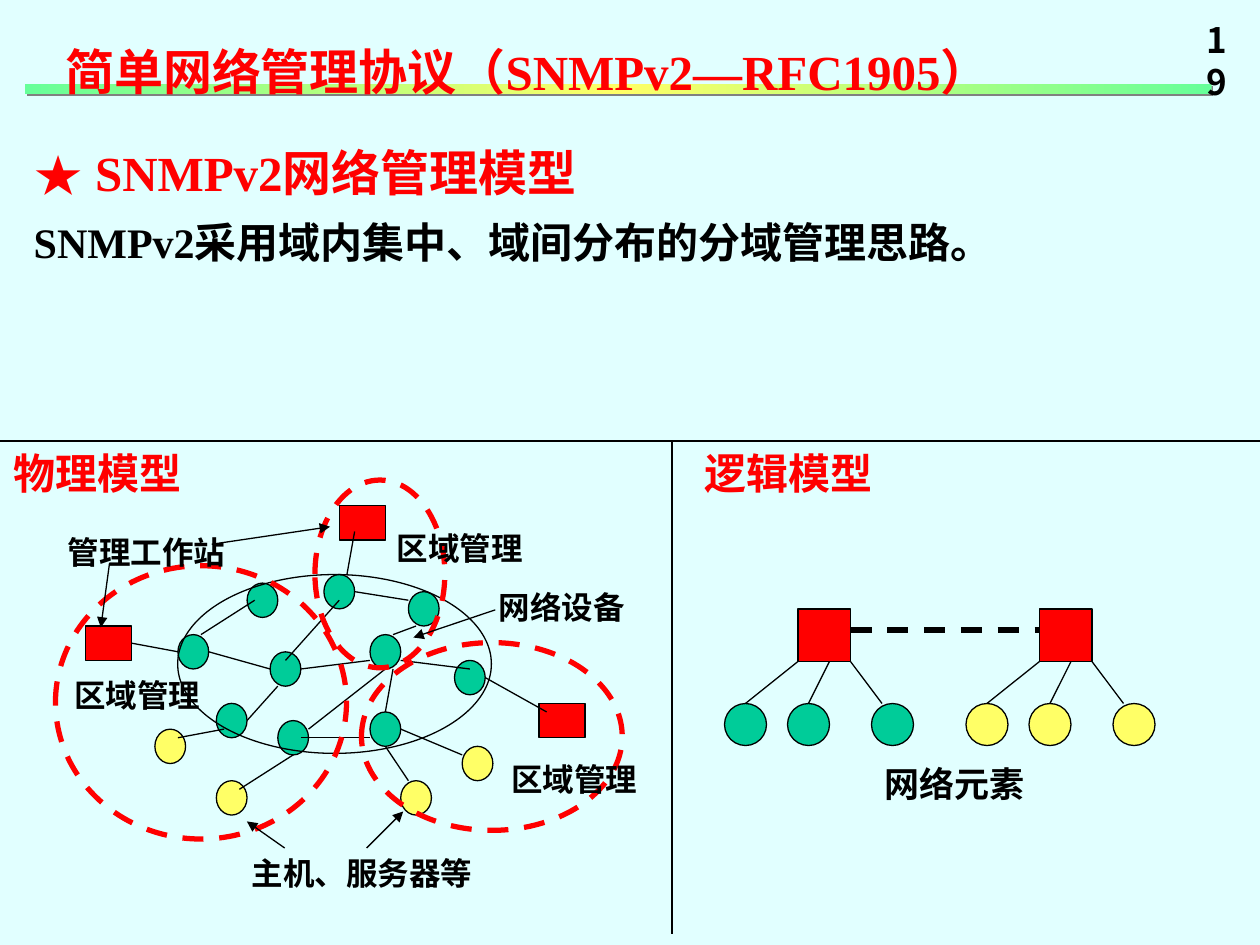
"""Build a slide on the SNMPv2 network management model."""
from copy import deepcopy

from lxml import etree
from pptx import Presentation
from pptx import util as u
from pptx.dml.color import RGBColor
from pptx.enum import dml, shapes, text
from pptx.oxml import ns

colour = RGBColor.from_string
RED, GREEN, YELLOW, BLACK = "FF0000", "00CC99", "FFFF66", "000000"
OVAL, RECT = shapes.MSO_SHAPE.OVAL, shapes.MSO_SHAPE.RECTANGLE
SERIF, SANS = "Times New Roman", "Noto Sans CJK SC"

deck = Presentation()
deck.slide_width, deck.slide_height = u.Pt(720), u.Pt(540)
page = deck.slides.add_slide(deck.slide_layouts[6])
page.background.fill.solid()
page.background.fill.fore_color.rgb = colour("E1FFFF")


def draw_shape(kind, left, top, width, height, fill=None, line=BLACK, weight=0.75):
    shape = page.shapes.add_shape(kind, u.Pt(left), u.Pt(top), u.Pt(width), u.Pt(height))
    shape.shadow.inherit = False
    if fill:
        shape.fill.solid()
        shape.fill.fore_color.rgb = colour(fill)
    else:
        shape.fill.background()
    shape.line.color.rgb = colour(line)
    shape.line.width = u.Pt(weight)
    return shape


def draw_line(x1, y1, x2, y2, weight=0.75, arrow=False):
    line = page.shapes.add_connector(
        shapes.MSO_CONNECTOR.STRAIGHT, u.Pt(x1), u.Pt(y1), u.Pt(x2), u.Pt(y2))
    line.line.color.rgb = colour(BLACK)
    line.line.width = u.Pt(weight)
    if arrow:
        outline = line.line._get_or_add_ln()
        etree.SubElement(outline, ns.qn("a:tailEnd"), type="triangle")
    etree.SubElement(line._element.spPr, ns.qn("a:effectLst"))
    return line


bar = draw_shape(RECT, 14.4, 48, 678, 6)
bar.line.fill.background()
bar.fill.gradient()
bar.fill.gradient_angle = 0
stop_list = bar._element.spPr.find(".//" + ns.qn("a:gsLst"))
stop_list.insert(1, deepcopy(stop_list[0]))
for stop, position, shade in zip(
        bar.fill.gradient_stops, (0, 0.5, 1), ("66FF99", YELLOW, "66FF99")):
    stop.position = position
    stop.color.rgb = colour(shade)
effects = bar._element.spPr.find(ns.qn("a:effectLst"))
shadow = etree.SubElement(effects, ns.qn("a:outerShdw"), dist="17780", dir="2700000")
etree.SubElement(shadow, ns.qn("a:srgbClr"), val="808080")

draw_line(384, 252, 384, 534)
draw_line(0, 252, 720, 252)

GRID_LEFT, GRID_TOP, STEP_X, STEP_Y = 49, 289, 4.39, 4.91
devices = [(12, 15), (17, 23), (24, 17), (42, 10), (48, 18),
           (31, 8), (21, 9), (37, 24), (25, 25), (37, 15)]
hosts = [(9, 26), (41, 32), (17, 32), (49, 28)]
stations = [(0, 14), (59, 23), (33, 0)]
for kind, columns, fill, cells in [
        (OVAL, 4, GREEN, devices), (OVAL, 4, YELLOW, hosts), (RECT, 6, RED, stations)]:
    for column, row in cells:
        draw_shape(kind, GRID_LEFT + column * STEP_X, GRID_TOP + row * STEP_Y,
                   columns * STEP_X, 4 * STEP_Y, fill)
draw_shape(OVAL, 101.5, 328.3, 179.3, 102.2)

links = [
    (16, 17, 24, 19), (21, 25, 25, 21), (15, 15, 22, 11), (29, 26, 39, 19),
    (28, 19, 37, 18), (41, 18, 50, 19), (40, 19, 39, 24), (28, 27, 37, 27),
    (33, 11, 26, 18), (35, 10, 42, 11), (43, 14, 40, 15), (39, 28, 42, 32),
    (41, 26, 49, 29), (18, 26, 12, 27), (27, 29, 20, 33), (6, 16, 12, 17),
    (35, 3, 34, 8), (52, 20, 60, 24),
]
for column1, row1, column2, row2 in links:
    draw_line(GRID_LEFT + column1 * STEP_X, GRID_TOP + row1 * STEP_Y,
              GRID_LEFT + column2 * STEP_X, GRID_TOP + row2 * STEP_Y)

for region in [(206.6, 367.2, 149, 107.3), (31.7, 323.3, 166.3, 156.2),
               (180, 274.3, 74.2, 107.3)]:
    draw_shape(OVAL, *region, line=RED, weight=3).line.dash_style = dml.MSO_LINE.DASH

for pointer in [(62.6, 321.8, 57.6, 358.6), (121, 311, 188.6, 301),
                (162.7, 484.6, 141.1, 469.4), (209.5, 484.6, 230.4, 463.7),
                (283, 348.5, 236.2, 364.3)]:
    draw_line(*pointer, arrow=True)

for left, fill in [(414, GREEN), (552, YELLOW)]:
    draw_shape(RECT, left + 42, 348, 30, 30, RED)
    for offset, start, end in [(0, 42, 12), (36, 60, 48), (84, 72, 90)]:
        draw_shape(OVAL, left + offset, 402, 24, 24, fill)
        draw_line(left + start, 378, left + end, 402)
draw_line(486, 360, 594, 360, 3).line.dash_style = dml.MSO_LINE.DASH

texts = [
    (30.2, 20.2, 555.8, 41, False, None, SERIF,
     [("简单网络管理协议（SNMPv2—RFC1905）", 28, RED)]),
    (12.2, 67.7, 689.8, 88.6, True, 1.3, SERIF,
     [("★ SNMPv2网络管理模型", 28, RED),
      ("SNMPv2采用域内集中、域间分布的分域管理思路。", 24, BLACK)]),
    (682.6, 7, 36, 56, True, u.Pt(24), SANS, [("19", 20, BLACK)]),
    (498.2, 432, 94.3, 31.7, False, None, SERIF, [("网络元素", 20, BLACK)]),
]
for label, left, top, width, height, size, shade in [
        ("物理模型", 0.7, 252, 110.2, 36, 24, RED),
        ("逻辑模型", 395.3, 252, 110.2, 36, 24, RED),
        ("区域管理", 35.3, 383, 86.4, 28.8, 18, BLACK),
        ("区域管理", 285.1, 430.6, 86.4, 28.8, 18, BLACK),
        ("区域管理", 219.6, 298.8, 86.4, 28.8, 18, BLACK),
        ("主机、服务器等", 136.8, 484.6, 140.4, 28.8, 18, BLACK),
        ("网络设备", 277.9, 332.6, 86.4, 28.8, 18, BLACK),
        ("管理工作站", 31.7, 301, 104.4, 28.8, 18, BLACK)]:
    texts.append((left, top, width, height, False, None, SERIF, [(label, size, shade)]))

for left, top, width, height, wrap, spacing, font, lines in texts:
    box = page.shapes.add_textbox(u.Pt(left), u.Pt(top), u.Pt(width), u.Pt(height))
    frame = box.text_frame
    frame.word_wrap = wrap
    frame.auto_size = text.MSO_AUTO_SIZE.SHAPE_TO_FIT_TEXT
    for index, (words, size, shade) in enumerate(lines):
        para = frame.add_paragraph() if index else frame.paragraphs[0]
        para.line_spacing = spacing
        span = para.add_run()
        span.text = words
        span.font.name, span.font.size, span.font.bold = font, u.Pt(size), True
        span.font.color.rgb = colour(shade)
        etree.SubElement(span.font._element, ns.qn("a:ea"), typeface=SANS)

deck.save("out.pptx")
